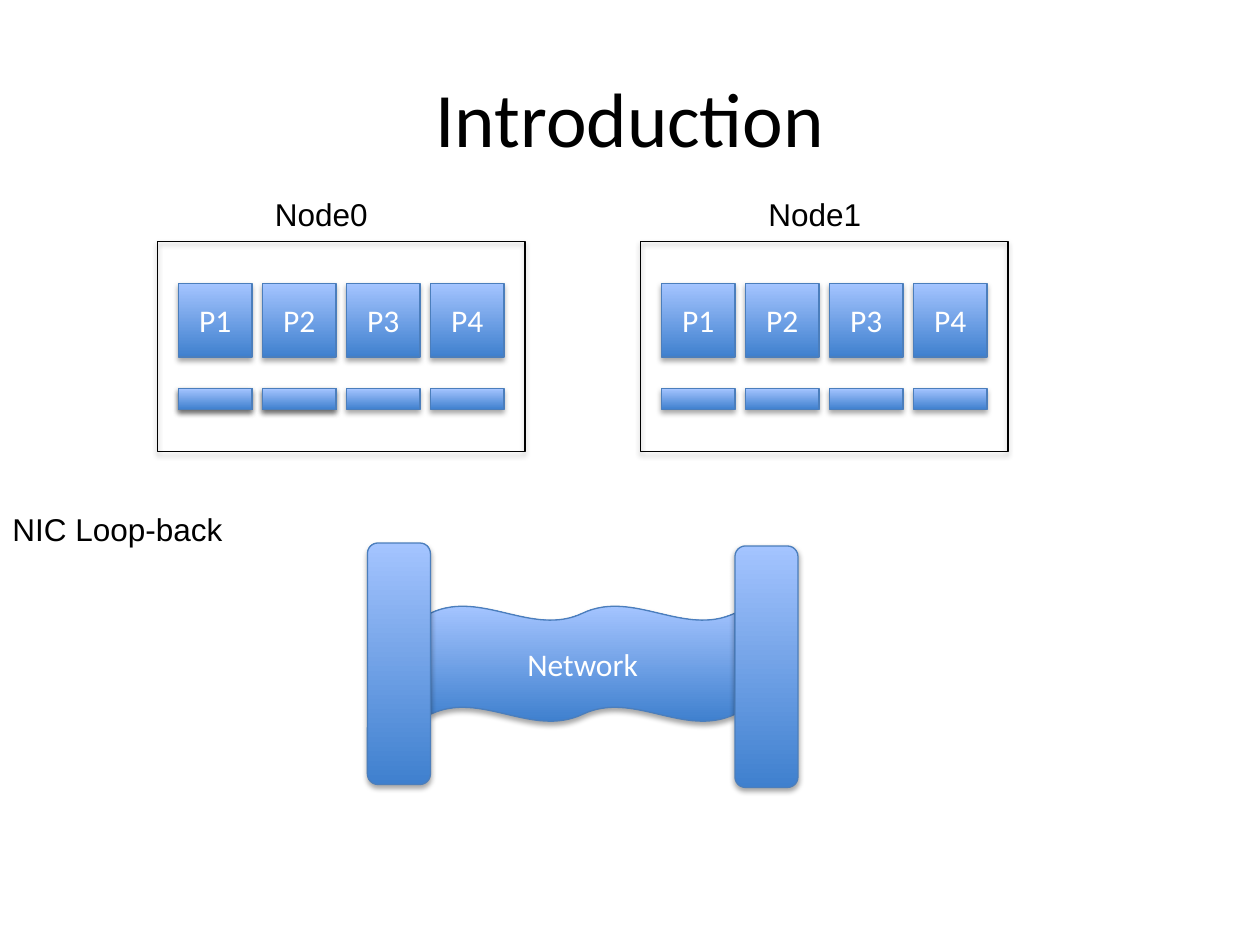
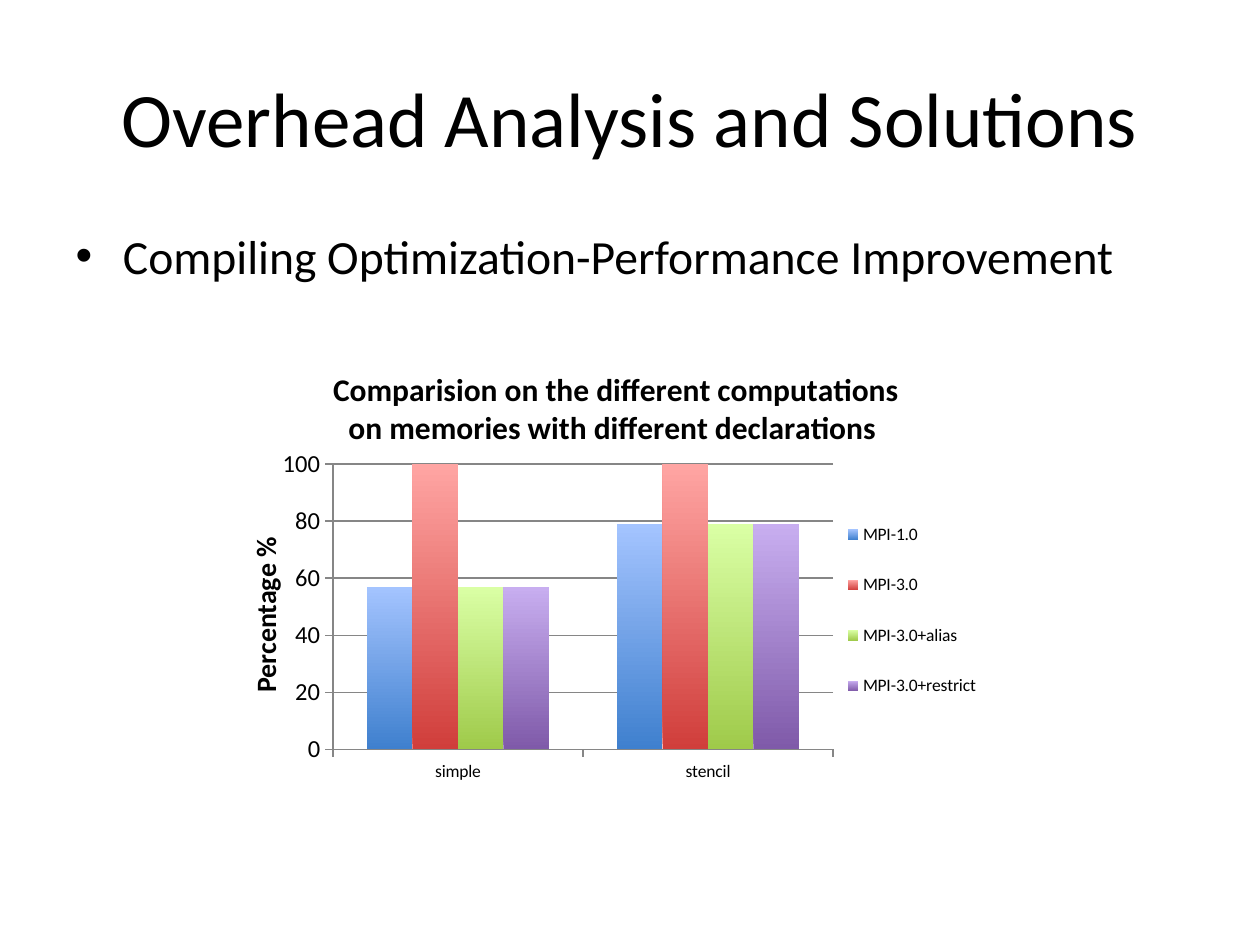
from lxml import etree
from pptx import Presentation
from pptx.chart.data import CategoryChartData
from pptx.dml.color import RGBColor
from pptx.enum.chart import XL_CHART_TYPE, XL_LEGEND_POSITION, XL_TICK_MARK
from pptx.enum.shapes import MSO_SHAPE
from pptx.enum.text import MSO_ANCHOR, MSO_AUTO_SIZE, PP_ALIGN
from pptx.oxml.ns import qn
from pptx.util import Pt

CENTER, LEFT = PP_ALIGN.CENTER, PP_ALIGN.LEFT
MIDDLE = MSO_ANCHOR.MIDDLE
NO_AUTOFIT = MSO_AUTO_SIZE.NONE
RECT, ROUNDED = MSO_SHAPE.RECTANGLE, MSO_SHAPE.ROUNDED_RECTANGLE
WAVE = MSO_SHAPE.DOUBLE_WAVE
CLUSTERED = XL_CHART_TYPE.COLUMN_CLUSTERED
LEGEND_RIGHT = XL_LEGEND_POSITION.RIGHT
TICK_OUT = XL_TICK_MARK.OUTSIDE

TITLE_ONLY, TITLE_AND_BODY = 5, 1
COLORS = {
    "text": "000000",
    "light_text": "FFFFFF",
    "edge": "4B7EBC",
    "grid": "868686",
    "blue_dark": "3F80CE", "blue_light": "A4C4FF",
    "red_dark": "D03E3B", "red_light": "FFA5A3",
    "green_dark": "9FCA4A", "green_light": "DAFFA5",
    "purple_dark": "7F5AA9", "purple_light": "C8AEF0",
}


def rgb(name):
    return RGBColor.from_string(COLORS[name])


def set_font(font, size, color="text", name="Calibri", bold=False):
    font.size, font.name, font.bold = Pt(size), name, bold
    font.color.rgb = rgb(color)


def write_text(frame, text, size, color="text", name="Calibri", align=CENTER):
    frame.text = text
    paragraph = frame.paragraphs[0]
    paragraph.alignment = align
    set_font(paragraph.runs[0].font, size, color, name)


def place(shape, left, top, width, height):
    shape.left, shape.top = Pt(left), Pt(top)
    shape.width, shape.height = Pt(width), Pt(height)


def fill_gradient(fill, hue):
    """Dark at the bottom, light at the top."""
    fill.gradient()
    fill.gradient_angle = 90
    for stop, shade in zip(fill.gradient_stops, ("dark", "light")):
        stop.color.rgb = rgb(f"{hue}_{shade}")


def add_soft_shadow(shape):
    shape.shadow.inherit = False
    effects = shape.element.spPr.find(qn("a:effectLst"))
    shadow = etree.SubElement(effects, qn("a:outerShdw"), blurRad=str(Pt(3.1)),
                              dist=str(Pt(1.8)), dir="5400000", rotWithShape="0")
    color = etree.SubElement(shadow, qn("a:srgbClr"), val=COLORS["text"])
    etree.SubElement(color, qn("a:alpha"), val="35000")


def add_block(slide, kind, left, top, width, height, text="", hue="blue", edge="edge"):
    block = slide.shapes.add_shape(kind, Pt(left), Pt(top), Pt(width), Pt(height))
    if hue:
        fill_gradient(block.fill, hue)
    else:
        block.fill.background()
    block.line.color.rgb = rgb(edge)
    block.line.width = Pt(0.75)
    add_soft_shadow(block)
    if text:
        block.text_frame.vertical_anchor = MIDDLE
        write_text(block.text_frame, text, 18, "light_text")


def add_label(slide, text, left, top, width):
    label = slide.shapes.add_textbox(Pt(left), Pt(top), Pt(width), Pt(29))
    label.text_frame.word_wrap = True
    write_text(label.text_frame, text, 18, name="Arial", align=LEFT)


def add_titled_slide(deck, layout, text):
    slide = deck.slides.add_slide(deck.slide_layouts[layout])
    title = slide.shapes.title
    place(title, 36, 21.6, 648, 90)
    title.text_frame.auto_size = NO_AUTOFIT
    title.text_frame.vertical_anchor = MIDDLE
    write_text(title.text_frame, text, 44)
    return slide


def add_bullet(slide, text):
    body = slide.placeholders[1]
    place(body, 36, 126, 648, 48)
    body.text_frame.auto_size = NO_AUTOFIT
    write_text(body.text_frame, text, 27.2, align=LEFT)


def add_buffers(slide, node_left, count):
    for i in range(count):
        add_block(slide, RECT, node_left + 12 + 48 * i, 222, 42, 12)


def set_chart_layout(parent, index, x, y, w, h, inner=False):
    """Fix the place of a chart part, in fractions of the chart."""
    for old in parent.findall(qn("c:layout")):
        parent.remove(old)
    layout = etree.Element(qn("c:layout"))
    manual = etree.SubElement(layout, qn("c:manualLayout"))
    settings = [("layoutTarget", "inner")] if inner else []
    settings += [("xMode", "edge"), ("yMode", "edge"),
                 ("x", x), ("y", y), ("w", w), ("h", h)]
    for tag, value in settings:
        etree.SubElement(manual, qn(f"c:{tag}"), val=str(value))
    parent.insert(index, layout)


def style_axis(axis, size):
    set_font(axis.tick_labels.font, size)
    axis.major_tick_mark = TICK_OUT
    axis.format.line.color.rgb = rgb("grid")
    axis.format.line.width = Pt(0.75)


def write_chart_title(frame, text, size):
    frame.text = text
    set_font(frame.paragraphs[0].runs[0].font, size, bold=True)


def add_percentage_chart(slide):
    data = CategoryChartData()
    data.categories = ["simple", "stencil"]
    declarations = {
        "MPI-1.0": ((57, 79), "blue"),
        "MPI-3.0": ((100, 100), "red"),
        "MPI-3.0+alias": ((57, 79), "green"),
        "MPI-3.0+restrict": ((57, 79), "purple"),
    }
    for name, (percentages, _) in declarations.items():
        data.add_series(name, percentages)
    chart = slide.shapes.add_chart(
        CLUSTERED, Pt(138), Pt(198), Pt(428), Pt(255.6), data).chart
    set_font(chart.font, 10)

    # Columns
    plot = chart.plots[0]
    plot.gap_width, plot.overlap, plot.vary_by_categories = 150, 0, False
    for series, (_, hue) in zip(plot.series, declarations.values()):
        fill_gradient(series.format.fill, hue)
    set_chart_layout(chart.element.find(".//" + qn("c:plotArea")), 0,
                     0.122, 0.263, 0.668, 0.638, inner=True)

    # Titles and axes
    chart.has_title = True
    write_chart_title(chart.chart_title.text_frame,
                      "Comparision on the different computations on memories "
                      "with different declarations ", 18)
    style_axis(chart.category_axis, 10)
    percentage = chart.value_axis
    style_axis(percentage, 14)
    percentage.minimum_scale, percentage.maximum_scale = 0, 100
    percentage.major_unit = 20
    percentage.has_major_gridlines = True
    percentage.major_gridlines.format.line.color.rgb = rgb("grid")
    percentage.major_gridlines.format.line.width = Pt(0.75)
    write_chart_title(percentage.axis_title.text_frame, "Percentage %", 16)

    # Legend
    chart.has_legend = True
    chart.legend.position = LEGEND_RIGHT
    chart.legend.include_in_layout = False
    set_font(chart.legend.font, 10)
    set_chart_layout(chart.legend._element, 1, 0.8, 0.33, 0.19, 0.52)


def build_introduction(deck):
    slide = add_titled_slide(deck, TITLE_ONLY, "Introduction")
    nodes = [("Node0", 90, 150), ("Node1", 366, 432)]

    # Nodes with their processors and buffers
    for name, left, label_left in nodes:
        add_block(slide, RECT, left, 138, 210, 120, hue=None, edge="text")
        for i in range(4):
            add_block(slide, RECT, left + 12 + 48 * i, 162, 42, 42, f"P{i + 1}")
        add_buffers(slide, left, 4)
        add_label(slide, name, label_left, 108, 72)

    # Network between its two ends
    add_block(slide, WAVE, 246, 346.3, 174, 66, "Network")
    add_block(slide, ROUNDED, 420, 312, 36, 138)
    add_block(slide, ROUNDED, 210, 310.3, 36, 138)

    # Buffers in loop-back
    add_buffers(slide, nodes[0][1], 2)
    add_label(slide, "NIC Loop-back", 0, 288, 174)


def build_overhead(deck):
    slide = add_titled_slide(deck, TITLE_AND_BODY, "Overhead Analysis and Solutions")
    add_bullet(slide, "Compiling Optimization-Performance Improvement")
    add_percentage_chart(slide)


def main():
    deck = Presentation()
    deck.slide_width, deck.slide_height = Pt(720), Pt(540)
    build_introduction(deck)
    build_overhead(deck)
    deck.save("out.pptx")


if __name__ == "__main__":
    main()
